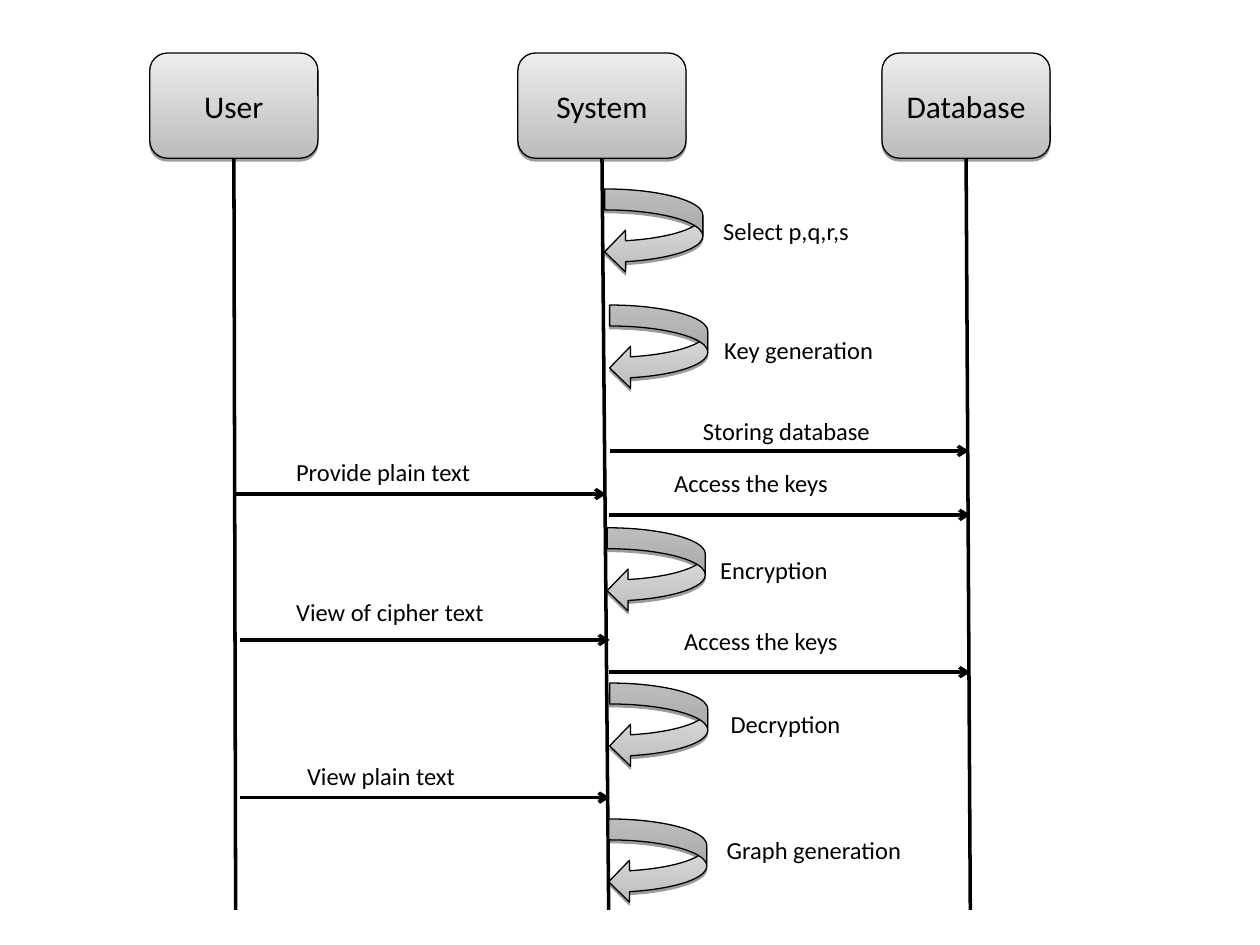
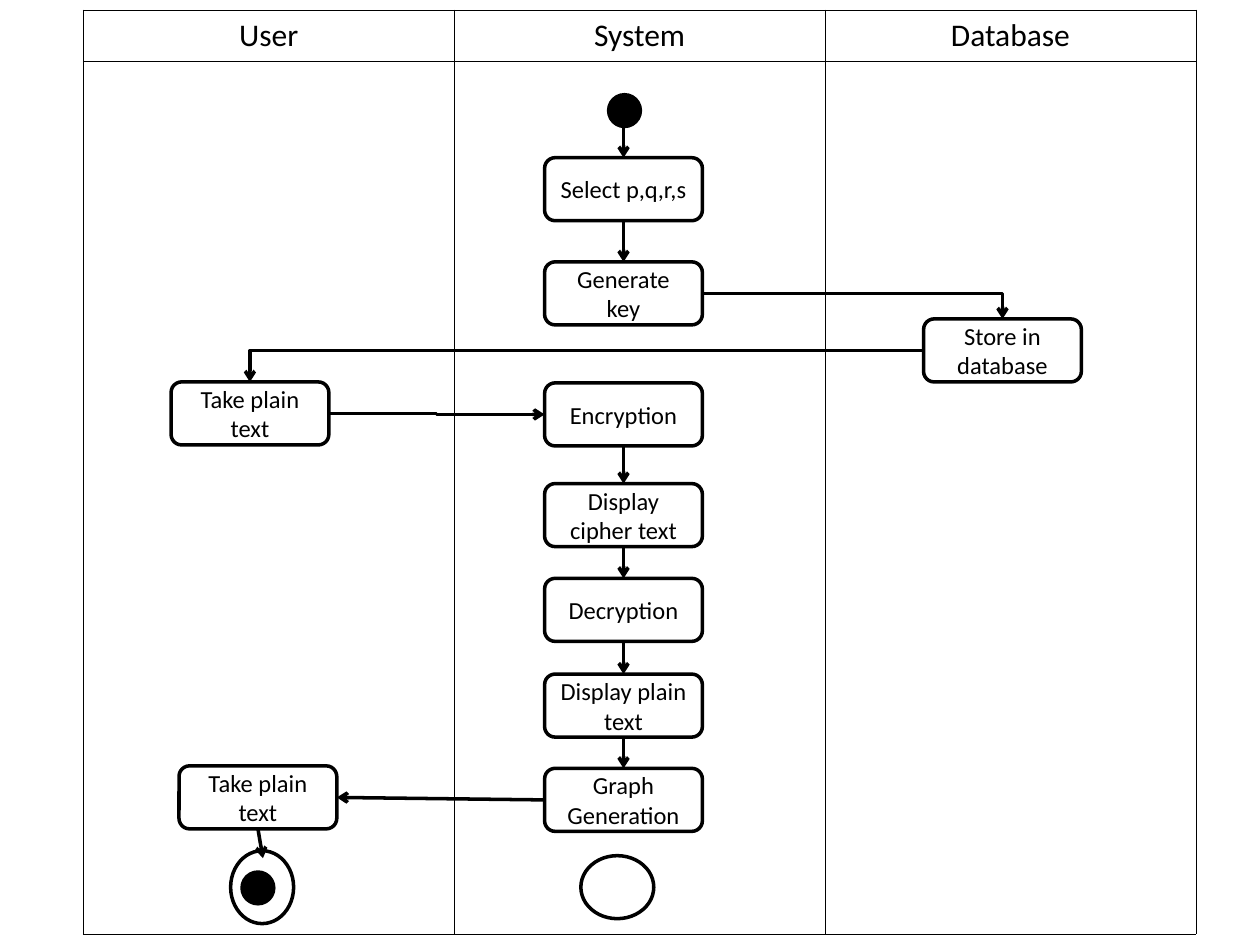
"""Build a sequence diagram and a swimlane activity diagram of an encryption system."""
from itertools import pairwise

from lxml import etree
from pptx import Presentation
from pptx import util as u
from pptx.dml.color import RGBColor
from pptx.enum import shapes, text
from pptx.oxml.ns import qn

BLACK, WHITE = "000000", "FFFFFF"
SILVER, PALE = "BCBCBC", "EDEDED"
TOP, LEFT, BOTTOM, RIGHT = range(4)
STRAIGHT, ELBOW = shapes.MSO_CONNECTOR.STRAIGHT, shapes.MSO_CONNECTOR.ELBOW
ROLES = ["User", "System", "Database"]


def color(value):
    """Return the colour for a hex string."""
    return RGBColor.from_string(value)


class Diagram:
    """Hold the shared style and the current slide."""

    font = "Calibri"
    title_size, label_size = 18, 14
    thin, thick = 0.75, 2

    def __init__(self):
        """Start an empty presentation."""
        self.presentation = Presentation()
        self.presentation.slide_width = u.Cm(25.4)
        self.presentation.slide_height = u.Cm(19.05)
        self.slide = None

    def new_slide(self):
        """Add a blank slide and make it current."""
        self.slide = self.presentation.slides.add_slide(self.presentation.slide_layouts[6])

    def caption(self, frame, words, size, align=text.PP_ALIGN.CENTER):
        """Put one styled paragraph into a text frame."""
        frame.word_wrap = True
        paragraph = frame.paragraphs[0]
        paragraph.text = words
        paragraph.alignment = align
        paragraph.font.name = self.font
        paragraph.font.size = u.Pt(size)
        paragraph.font.color.rgb = color(BLACK)

    def shape(self, kind, left, top, width, height, fill=WHITE, line=thick):
        """Add an outlined preset shape without a shadow."""
        shape = self.slide.shapes.add_shape(kind, *map(u.Cm, (left, top, width, height)))
        shape.shadow.inherit = False
        shape.fill.solid()
        shape.fill.fore_color.rgb = color(fill)
        shape.line.color.rgb = color(BLACK)
        shape.line.width = u.Pt(line)
        return shape

    def raised(self, kind, left, top, width, height):
        """Add a grey gradient shape with a hard shadow below."""
        shape = self.shape(kind, left, top, width, height, line=self.thin)
        shape.fill.gradient()
        shape.fill.gradient_angle = 90
        for stop, shade in zip(shape.fill.gradient_stops, (SILVER, PALE)):
            stop.color.rgb = color(shade)
        effects = shape._element.spPr.find(qn("a:effectLst"))
        shadow = etree.SubElement(effects, qn("a:outerShdw"), dist=str(u.Pt(1.6)),
                                  dir="5400000", rotWithShape="0")
        tint = etree.SubElement(shadow, qn("a:srgbClr"), val=BLACK)
        etree.SubElement(tint, qn("a:alpha"), val="38000")
        return shape

    def role(self, name, left):
        """Add the head box of a lifeline."""
        shape = self.raised(shapes.MSO_SHAPE.ROUNDED_RECTANGLE, left, 1.07, 3.39, 2.12)
        self.caption(shape.text_frame, name, self.title_size)
        return shape

    def loop(self, left, top):
        """Add a curved arrow for a step the system does itself."""
        return self.raised(shapes.MSO_SHAPE.CURVED_LEFT_ARROW, left, top, 1.98, 1.69)

    def action(self, words, left, top):
        """Add an activity box."""
        shape = self.shape(shapes.MSO_SHAPE.ROUNDED_RECTANGLE, left, top, 3.18, 1.27)
        self.caption(shape.text_frame, words, self.label_size)
        return shape

    def circle(self, left, top, width, height, fill=WHITE):
        """Add a start or end marker."""
        return self.shape(shapes.MSO_SHAPE.OVAL, left, top, width, height, fill)

    def label(self, words, left, top, width):
        """Add a left-aligned text label."""
        box = self.slide.shapes.add_textbox(*map(u.Cm, (left, top, width, 0.86)))
        self.caption(box.text_frame, words, self.label_size, text.PP_ALIGN.LEFT)

    def link(self, begin, end, arrow=True, kind=STRAIGHT, preset=None):
        """Link two ends, each a point or a pair of shape and side."""
        joined = [not isinstance(place[0], (int, float)) for place in (begin, end)]
        points = [(0, 0) if held else place for place, held in zip((begin, end), joined)]
        connector = self.slide.shapes.add_connector(
            kind, *(u.Cm(value) for point in points for value in point))
        if joined[0]:
            connector.begin_connect(*begin)
        if joined[1]:
            connector.end_connect(*end)
        connector.line.color.rgb = color(BLACK)
        connector.line.width = u.Pt(self.thick)
        properties = connector._element.spPr
        if preset:
            properties.find(qn("a:prstGeom")).set("prst", preset)
        if arrow:
            etree.SubElement(properties.find(qn("a:ln")), qn("a:tailEnd"), type="arrow")
        etree.SubElement(properties, qn("a:effectLst"))

    def border(self, cell):
        """Draw a hairline on all sides of a table cell."""
        properties = cell._tc.get_or_add_tcPr()
        for index, side in enumerate(("lnL", "lnR", "lnT", "lnB")):
            line = etree.Element(qn(f"a:{side}"), w=str(u.Pt(0.45)))
            fill = etree.SubElement(line, qn("a:solidFill"))
            etree.SubElement(fill, qn("a:srgbClr"), val=BLACK)
            properties.insert(index, line)

    def swimlanes(self, names):
        """Add a table with one lane for each name."""
        frame = self.slide.shapes.add_table(
            2, len(names), *map(u.Cm, (1.68, 0.2, 22.43, 18.62)))
        table = frame.table
        table.first_row = table.horz_banding = False
        for row, height in zip(table.rows, (1.02, 17.6)):
            row.height = u.Cm(height)
        for cell in table.iter_cells():
            cell.fill.background()
            self.border(cell)
        for column, name in enumerate(names):
            cell = table.cell(0, column)
            cell.vertical_anchor = text.MSO_ANCHOR.MIDDLE
            self.caption(cell.text_frame, name, self.title_size)


def sequence(diagram):
    """Draw the sequence diagram."""
    diagram.new_slide()
    for name, left, foot in zip(ROLES, (3.02, 10.44, 17.78), (4.75, 12.27, 19.56)):
        head = diagram.role(name, left)
        diagram.link((head, BOTTOM), (foot, 18.34), arrow=False)
    for left, top in [(12.19, 3.81), (12.29, 6.15), (12.24, 10.64),
                      (12.29, 13.77), (12.27, 16.51)]:
        diagram.loop(left, top)
    for start, stop, height in [(12.29, 19.53, 9.09), (4.75, 12.22, 9.96),
                                (12.27, 19.56, 10.38), (4.83, 12.29, 12.9),
                                (12.27, 19.56, 13.55), (4.83, 12.29, 16.08)]:
        diagram.link((start, height), (stop, height))
    for label in [("Select p,q,r,s", 14.33, 4.24, 3.81),
                  ("Key generation", 14.35, 6.63, 3.81),
                  ("Storing database", 13.92, 8.26, 6.2),
                  ("Provide plain text", 5.72, 9.09, 5.08),
                  ("Access the keys", 13.34, 9.32, 5.72),
                  ("Encryption", 14.27, 11.07, 5.08),
                  ("View of cipher text", 5.72, 11.91, 5.08),
                  ("Access the keys", 13.54, 12.5, 4.88),
                  ("Decryption", 14.48, 14.17, 5.08),
                  ("View plain text", 5.94, 15.21, 5.08),
                  ("Graph generation", 14.4, 16.71, 5.28)]:
        diagram.label(*label)


def activity(diagram):
    """Draw the activity diagram in swimlanes."""
    diagram.new_slide()
    diagram.circle(4.65, 17.15, 1.27, 1.47)
    diagram.circle(11.71, 17.25, 1.47, 1.27)
    diagram.swimlanes(ROLES)
    diagram.circle(12.27, 1.91, 0.64, 0.64, BLACK)
    diagram.circle(4.88, 17.58, 0.64, 0.64, BLACK)

    select, generate, encrypt, cipher, decrypt, plain, graph = [
        diagram.action(words, 10.98, top) for words, top in [
            ("Select p,q,r,s", 3.18), ("Generate key", 5.28), ("Encryption", 7.72),
            ("Display cipher text", 9.75), ("Decryption", 11.66),
            ("Display plain text", 13.59), ("Graph Generation", 15.49)]]
    store = diagram.action("Store in database", 18.62, 6.43)
    take = diagram.action("Take plain text", 3.45, 7.7)
    finish = diagram.action("Take plain text", 3.61, 15.44)

    diagram.link((12.57, 2.54), (select, TOP))
    for chain in [(select, generate), (encrypt, cipher, decrypt, plain, graph)]:
        for upper, lower in pairwise(chain):
            diagram.link((upper, BOTTOM), (lower, TOP))
    diagram.link((generate, RIGHT), (store, TOP), kind=ELBOW, preset="bentConnector2")
    diagram.link((store, LEFT), (take, TOP), kind=ELBOW, preset="bentConnector2")
    diagram.link((take, RIGHT), (encrypt, LEFT), kind=ELBOW)
    diagram.link((graph, LEFT), (finish, RIGHT))
    diagram.link((finish, BOTTOM), (5.3, 17.3))


def main():
    """Build and save both slides."""
    diagram = Diagram()
    sequence(diagram)
    activity(diagram)
    diagram.presentation.save("out.pptx")


if __name__ == "__main__":
    main()
